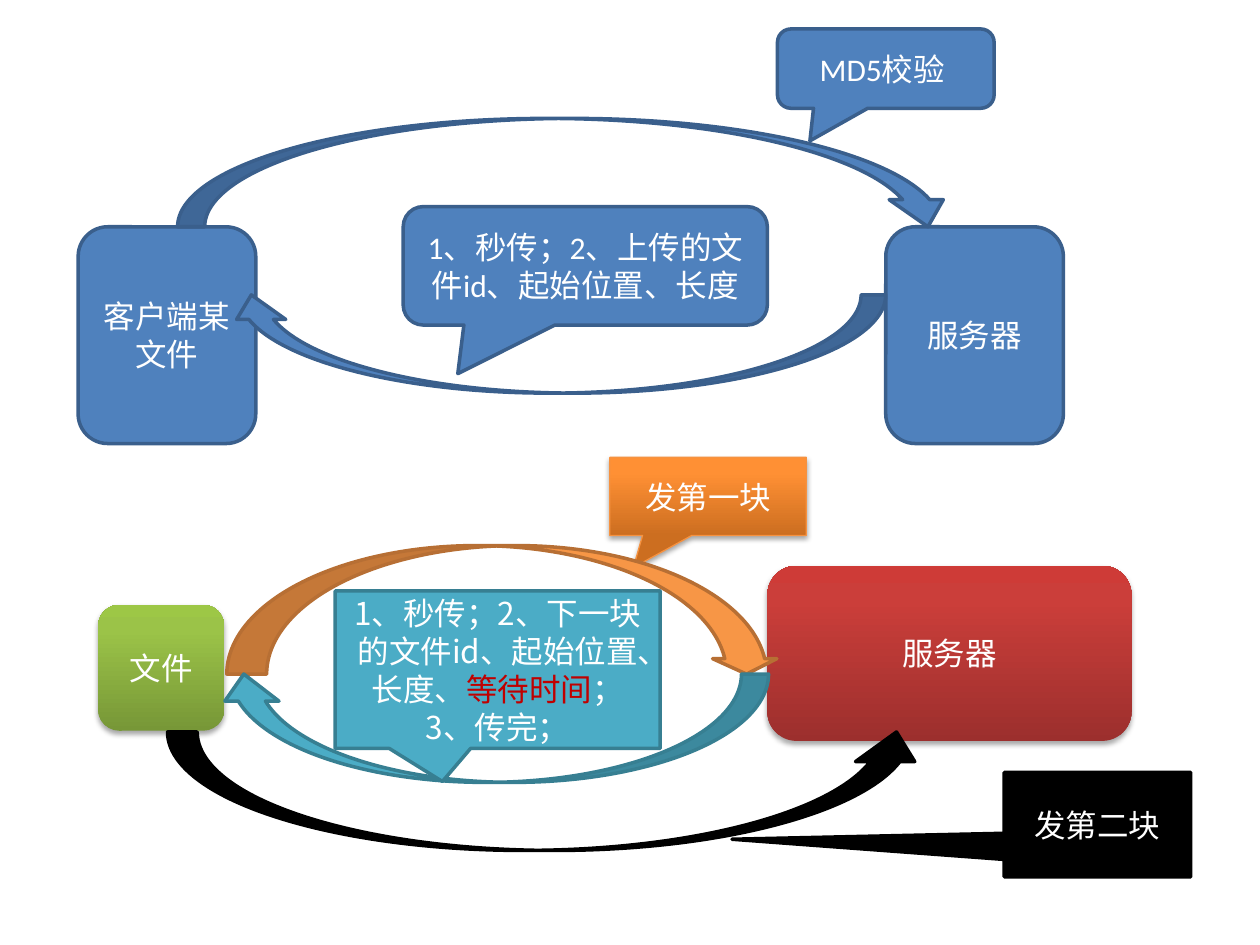
import pptx
import pptx.util
import pptx.dml.color
import pptx.enum.shapes
import pptx.enum.text
import pptx.oxml
import pptx.oxml.ns

Inches = pptx.util.Inches
SHAPES = pptx.enum.shapes.MSO_SHAPE
CJK_FONT = "Noto Sans CJK SC"
WHITE = "FFFFFF"
BLUE = {"fill": "4F81BD", "line": "3A5F8C"}
ORANGE = {"fill": "F79646", "line": "B76F34"}
TEAL = {"fill": "4BACC6", "line": "377F92"}
BLACK = {"fill": "000000", "line": "000000"}
# Glossy fills run from the bottom (dark) to the top (light)
GLOSSY_GREEN = {"fill": ("779737", "9BC348", "9DC746")}
GLOSSY_RED = {"fill": ("9C2F2D", "CB3E3A", "CE3B37")}
GLOSSY_ORANGE = {"fill": ("CC6E20", "FF9034", "FF9136"), "line": "F69240", "width": 0.75}


def rgb(value):
    return pptx.dml.color.RGBColor.from_string(value)


def add_text(paragraph, text, font=CJK_FONT, size=18, color=WHITE):
    run = paragraph.add_run()
    run.text = text
    run.font.name = font
    run.font.size = pptx.util.Pt(size)
    run.font.color.rgb = rgb(color)
    east_asian = run.font._element.makeelement(
        pptx.oxml.ns.qn("a:ea"), {"typeface": CJK_FONT})
    run.font._element.find(pptx.oxml.ns.qn("a:latin")).addnext(east_asian)


def xml(text):
    namespace = pptx.oxml.ns.nsdecls("a")
    return pptx.oxml.parse_xml(text.replace(" ", f" {namespace} ", 1))


class Diagram:
    def __init__(self, slide, font):
        self.slide = slide
        self.font = font

    def shape(self, kind, box, fill, line=None, width=2, adjustments=()):
        shape = self.slide.shapes.add_shape(kind, *map(Inches, box))
        for index, value in enumerate(adjustments):
            shape.adjustments[index] = value
        shape.shadow.inherit = False
        if isinstance(fill, tuple):
            self.glossy(shape, fill)
        else:
            shape.fill.solid()
            shape.fill.fore_color.rgb = rgb(fill)
        if line:
            shape.line.color.rgb = rgb(line)
            shape.line.width = pptx.util.Pt(width)
        else:
            shape.line.fill.background()
        return shape

    def glossy(self, shape, colors):
        """Vertical three-stop gradient with a soft shadow below."""
        shape.fill.gradient()
        shape.fill.gradient_angle = 90
        properties = shape.element.spPr
        stops = properties.find(".//" + pptx.oxml.ns.qn("a:gsLst"))
        for stop in list(stops):
            stops.remove(stop)
        for position, color in zip((0, 80, 100), colors):
            stops.append(xml(f'<a:gs pos="{position * 1000}">'
                             f'<a:srgbClr val="{color}"/></a:gs>'))
        properties.find(pptx.oxml.ns.qn("a:effectLst")).append(xml(
            '<a:outerShdw blurRad="39370" dist="22860" dir="5400000" rotWithShape="0">'
            '<a:srgbClr val="000000"><a:alpha val="35000"/></a:srgbClr></a:outerShdw>'))

    def label(self, kind, box, runs, style, adjustments=()):
        """Shape with centred text; runs are (text, color) pairs or one string."""
        shape = self.shape(kind, box, adjustments=adjustments, **style)
        frame = shape.text_frame
        frame.word_wrap = True
        frame.vertical_anchor = pptx.enum.text.MSO_ANCHOR.MIDDLE
        paragraph = frame.paragraphs[0]
        paragraph.alignment = pptx.enum.text.PP_ALIGN.CENTER
        for text, color in [(runs, WHITE)] if isinstance(runs, str) else runs:
            add_text(paragraph, text, font=self.font, color=color)

    def node(self, box, text, style):
        self.label(SHAPES.ROUNDED_RECTANGLE, box, text, style)

    def callout(self, box, runs, style, tip):
        self.label(SHAPES.RECTANGULAR_CALLOUT, box, runs, style, tip)

    def round_callout(self, box, text, style):
        self.label(SHAPES.ROUNDED_RECTANGULAR_CALLOUT, box, text, style,
                   (-0.35, 0.91, 0.17))

    def arrow(self, kind, box, style, flip=False, adjustments=()):
        shape = self.shape(kind, box, adjustments=adjustments, **style)
        if flip:
            shape.element.spPr.find(pptx.oxml.ns.qn("a:xfrm")).set("flipH", "1")


def main():
    presentation = pptx.Presentation()
    presentation.slide_width = Inches(10)
    presentation.slide_height = Inches(7.5)
    slide = presentation.slides.add_slide(presentation.slide_layouts[6])

    # Upper cycle: checksum and answer
    check = Diagram(slide, "Calibri")
    for left, text in ((0.62, "客户端某文件"), (7.03, "服务器")):
        check.node((left, 1.8, 1.41, 1.72), text, BLUE)
    check.arrow(SHAPES.CURVED_DOWN_ARROW, (1.41, 0.94, 6.17, 0.86), BLUE)
    check.round_callout((6.17, 0.23, 1.72, 0.63), "MD5校验 ", BLUE)
    check.arrow(SHAPES.CURVED_UP_ARROW, (1.8, 2.34, 5.23, 0.78), BLUE, flip=True)
    check.round_callout((3.2, 1.64, 2.89, 0.94),
                        "1、秒传；2、上传的文件id、起始位置、长度", BLUE)

    # Lower cycle: file and server
    upload = Diagram(slide, CJK_FONT)
    upload.node((0.78, 4.8, 1, 1), "文件", GLOSSY_GREEN)
    upload.node((6.09, 4.49, 2.89, 1.39), "服务器", GLOSSY_RED)

    # First block and the server's answer
    upload.callout((4.84, 3.63, 1.56, 0.62), "发第一块", GLOSSY_ORANGE, (-0.38, 0.91))
    upload.arrow(SHAPES.CURVED_DOWN_ARROW, (1.8, 4.33, 4.38, 1.02), ORANGE,
                 adjustments=(0.31, 0.5, 0.12))
    upload.arrow(SHAPES.CURVED_UP_ARROW, (1.72, 5.35, 4.38, 0.86), TEAL, flip=True)
    answer = [("1、秒传；2、下一块的文件id、起始位置、长度、", WHITE),
              ("等待时间", "C00000"), ("；3、传完；", WHITE)]
    upload.callout((2.66, 4.69, 2.58, 1.25), answer, TEAL, (-0.17, 0.71))

    # Second block
    upload.arrow(SHAPES.CURVED_UP_ARROW, (1.33, 5.81, 6.02, 0.94), BLACK)
    upload.callout((7.97, 6.13, 1.48, 0.83), "发第二块", BLACK, (-1.96, 0.14))

    presentation.save("out.pptx")


if __name__ == "__main__":
    main()
